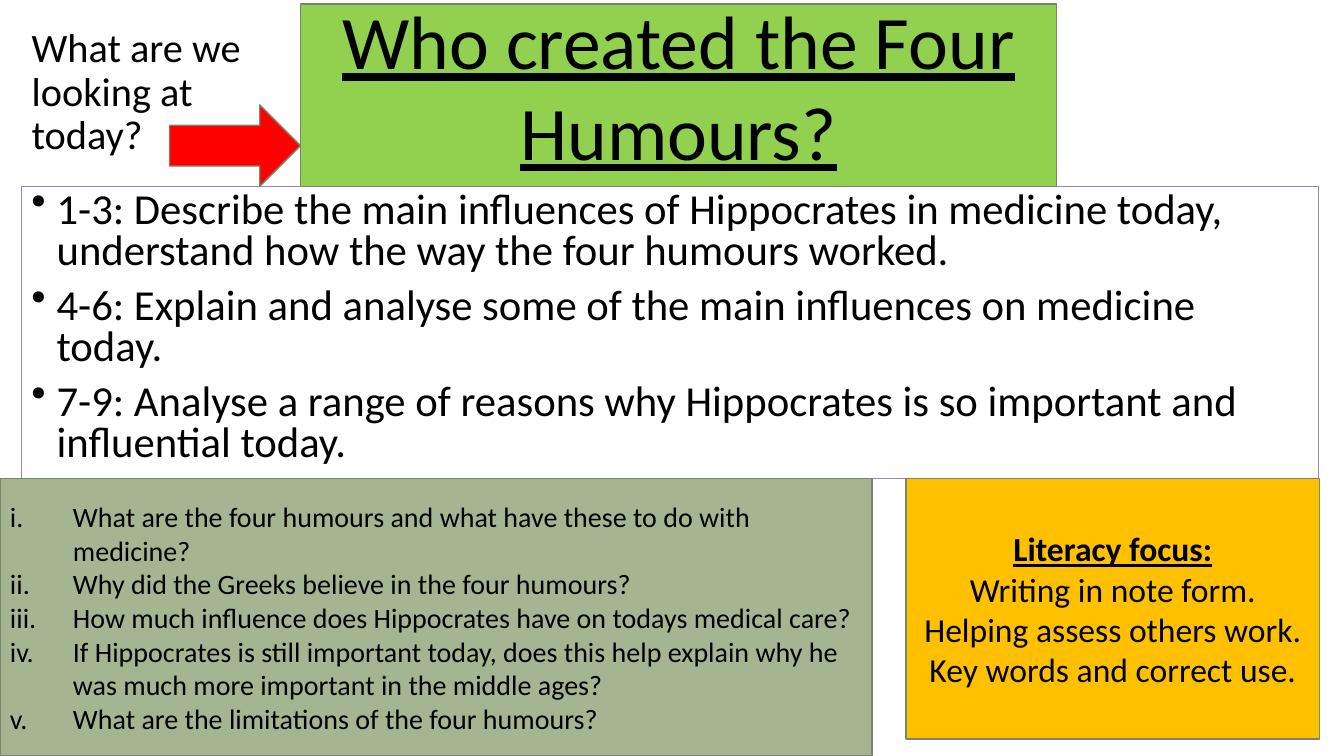
"""Build the lesson slide on who created the Four Humours."""
import pptx
import pptx.util
import pptx.dml.color
import pptx.enum.shapes
import pptx.enum.text
from lxml import etree
from pptx.oxml.ns import qn

Pt = pptx.util.Pt
SHAPE = pptx.enum.shapes.MSO_SHAPE
ALIGN = pptx.enum.text.PP_ALIGN
ANCHOR = pptx.enum.text.MSO_ANCHOR

COLOURS = {
    "text": "000000", "white": "FFFFFF", "purple": "9C85C0", "outline": "7A866C",
    "amber": "FFC000", "green": "92D050", "sage": "A5B592", "red": "FF0000",
}
FONT = "Calibri"
TITLE = "What are we looking at today?"
BANNER = ["Who created the Four Humours?"]
OUTCOMES = [
    "1-3: Describe the main influences of Hippocrates in medicine today, "
    "understand how the way the four humours worked.",
    "4-6: Explain and analyse some of the main influences on medicine today.",
    "7-9: Analyse a range of reasons why Hippocrates is so important and influential today.",
]
LITERACY = [
    "Literacy focus:",
    "Writing in note form.",
    "Helping assess others work.",
    "Key words and correct use.",
]
QUESTIONS = [
    "What are the four humours and what have these to do with medicine?",
    "Why did the Greeks believe in the four humours?",
    "How much influence does Hippocrates have on todays medical care?",
    "If Hippocrates is still important today, does this help explain why he "
    "was much more important in the middle ages?",
    "What are the limitations of the four humours?",
]

SLIDE_W, SLIDE_H = 960, 540
MARGIN = 15.4
BANNER_X, BANNER_Y = 214.7, 2.9
OUTCOMES_Y, LOWER_Y = 133.2, 342
ARROW_W, ARROW_H = 93.6, 58.3


def colour(name):
    return pptx.dml.color.RGBColor.from_string(COLOURS[name])


def add_box(s, kind, x, y, w, h, fill, line="outline"):
    sp = s.shapes.add_shape(kind, Pt(x), Pt(y), Pt(w), Pt(h))
    sp.shadow.inherit = False
    sp.fill.solid()
    sp.fill.fore_color.rgb = colour(fill)
    sp.line.color.rgb = colour(line)
    sp.line.width = Pt(1)
    return sp


def write(sp, lines, size, align=ALIGN.LEFT, anchor=ANCHOR.MIDDLE):
    tf = sp.text_frame
    tf.word_wrap = True
    tf.vertical_anchor = anchor
    tf.text = "\n".join(lines)
    for p in tf.paragraphs:
        p.alignment = align
        for r in p.runs:
            r.font.name = FONT
            r.font.size = Pt(size)
            r.font.color.rgb = colour("text")
    return tf


def add_bullet(p, indent, tag, **attributes):
    pPr = p._p.get_or_add_pPr()
    pPr.set("marL", str(Pt(indent)))
    pPr.set("indent", str(-Pt(indent)))
    etree.SubElement(pPr, qn(tag), attributes)


def main():
    prs = pptx.Presentation()
    prs.slide_width, prs.slide_height = Pt(SLIDE_W), Pt(SLIDE_H)
    s = prs.slides.add_slide(prs.slide_layouts[5])

    title = s.shapes.title
    title.left, title.top = Pt(MARGIN), Pt(14.4)
    title.width, title.height = Pt(211.7), Pt(104.4)
    write(title, [TITLE], 28.8).paragraphs[0].line_spacing = 0.9

    sp = add_box(s, SHAPE.RECTANGLE, MARGIN, OUTCOMES_Y, 926.6, LOWER_Y - OUTCOMES_Y,
                 "white", "purple")
    tf = write(sp, OUTCOMES, 30.5, anchor=ANCHOR.TOP)
    for i, p in enumerate(tf.paragraphs):
        p.line_spacing = 0.8
        p.space_before = Pt(10 if i else 0)
        add_bullet(p, 18, "a:buChar", char="•")

    sp = add_box(s, SHAPE.RECTANGLE, 647.3, LOWER_Y, 295.2, 185.8, "amber")
    tf = write(sp, LITERACY, 24, ALIGN.CENTER)
    heading = tf.paragraphs[0].runs[0].font
    heading.bold = heading.underline = True

    sp = add_box(s, SHAPE.RECTANGLE, BANNER_X, BANNER_Y, 540, OUTCOMES_Y - BANNER_Y, "green")
    tf = write(sp, BANNER, 54, ALIGN.CENTER)
    tf.margin_bottom = Pt(19)
    tf.paragraphs[0].runs[0].font.underline = True

    sp = add_box(s, SHAPE.RECTANGLE, 0, LOWER_Y, 622.8, SLIDE_H - LOWER_Y, "sage")
    for p in write(sp, QUESTIONS, 20).paragraphs:
        add_bullet(p, 45, "a:buAutoNum", type="romanLcPeriod")

    add_box(s, SHAPE.RIGHT_ARROW, BANNER_X - ARROW_W, OUTCOMES_Y - ARROW_H,
            ARROW_W, ARROW_H, "red")

    prs.save("out.pptx")


if __name__ == "__main__":
    main()
